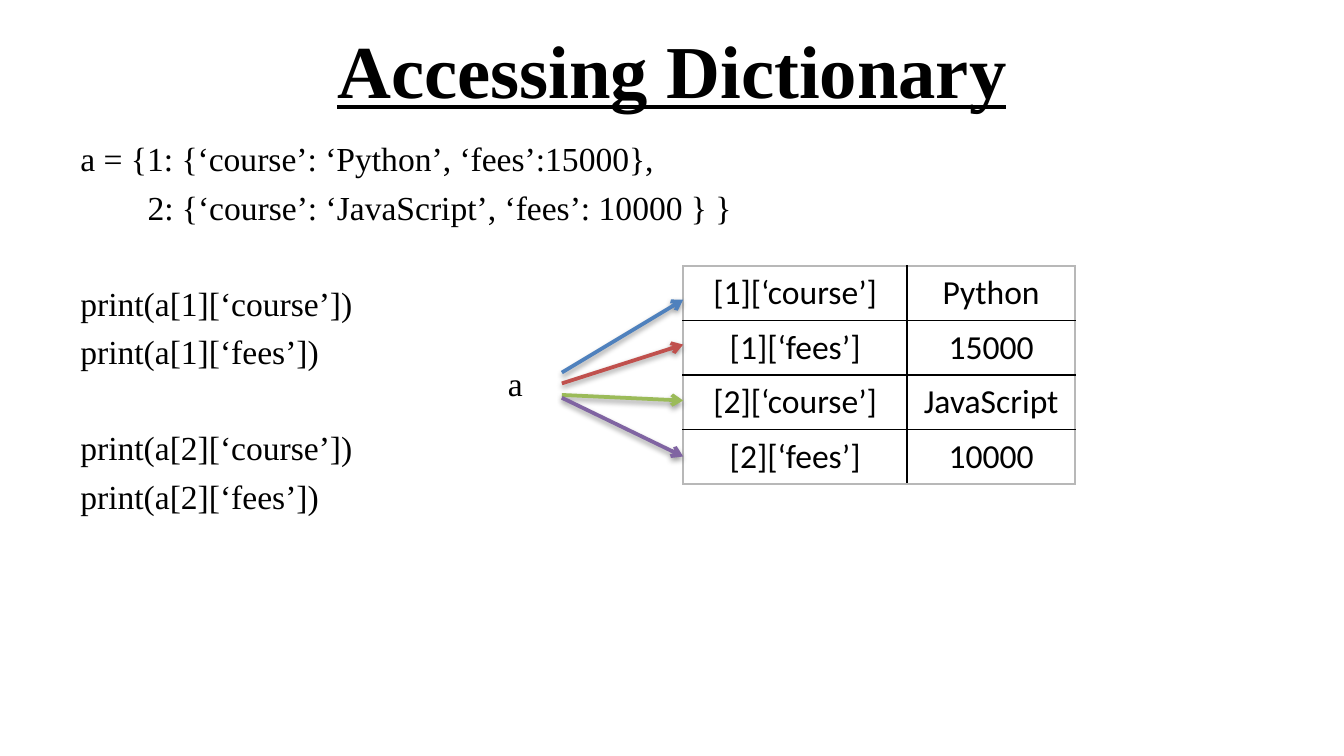
from lxml.etree import SubElement
from pptx import Presentation
from pptx.dml.color import RGBColor
from pptx.enum.shapes import MSO_CONNECTOR
from pptx.enum.text import MSO_ANCHOR, PP_ALIGN
from pptx.oxml.ns import qn
from pptx.util import Pt

HUES = {
    "ink": "000000", "edge": "B8B8B8", "blue": "4F81BD",
    "red": "C0504D", "green": "9BBB59", "violet": "8064A2",
}
SERIF, SANS = "Times New Roman", "Calibri"


def color(name):
    return RGBColor.from_string(HUES[name])


def write(para, text, size=18, face=SERIF, bold=False, line=False,
          align=PP_ALIGN.LEFT, before=0):
    para.alignment = align
    para.space_before = Pt(before)
    run = para.add_run()
    run.text = text
    font = run.font
    font.size, font.name = Pt(size), face
    font.bold, font.underline = bold, line
    font.color.rgb = color("ink")


def add_frame(slide, box, anchor=MSO_ANCHOR.TOP, wrap=True):
    frame = slide.shapes.add_textbox(*map(Pt, box)).text_frame
    frame.word_wrap = wrap
    frame.vertical_anchor = anchor
    return frame


def add_title(slide, box, text):
    frame = add_frame(slide, box, MSO_ANCHOR.MIDDLE)
    write(frame.paragraphs[0], text, size=40, bold=True, line=True,
          align=PP_ALIGN.CENTER)


def add_code(slide, box, groups, gap=4.5, skip=29.7):
    """Write groups of code lines, with a line's height between groups."""
    frame = add_frame(slide, box)
    para = frame.paragraphs[0]
    before = 0
    for group in groups:
        for text in group:
            write(para, text, before=before)
            if text != groups[-1][-1]:
                para = frame.add_paragraph()
            before = gap
        before = skip


def add_border(cell, side, hue):
    line = SubElement(cell._tc.get_or_add_tcPr(), qn("a:ln" + side),
                      w=str(Pt(1)))
    fill = SubElement(line, qn("a:solidFill"))
    SubElement(fill, qn("a:srgbClr"), val=HUES[hue])


def add_grid(slide, box, rows, widths):
    table = slide.shapes.add_table(len(rows), len(widths),
                                   *map(Pt, box)).table
    table.first_row = table.horz_banding = False
    for col, width in zip(table.columns, widths):
        col.width = Pt(width)
    for r, row in enumerate(rows):
        table.rows[r].height = Pt(box[3] / len(rows))
        for c, text in enumerate(row):
            cell = table.cell(r, c)
            outer = {"L": c == 0, "R": c == len(row) - 1,
                     "T": r == 0, "B": r == len(rows) - 1}
            for side, edge in outer.items():
                add_border(cell, side, "edge" if edge else "ink")
            cell.fill.background()
            write(cell.text_frame.paragraphs[0], text, face=SANS,
                  align=PP_ALIGN.CENTER)


def add_arrow(slide, start, end, hue):
    arrow = slide.shapes.add_connector(MSO_CONNECTOR.STRAIGHT,
                                       *map(Pt, start + end))
    arrow.line.color.rgb = color(hue)
    arrow.line.width = Pt(2)
    SubElement(arrow.line._get_or_add_ln(), qn("a:tailEnd"), type="arrow")
    effects = SubElement(arrow._element.spPr, qn("a:effectLst"))
    shadow = SubElement(effects, qn("a:outerShdw"), blurRad=str(Pt(3.1)),
                        dist=str(Pt(1.6)), dir="5400000", rotWithShape="0")
    ink = SubElement(shadow, qn("a:srgbClr"), val=HUES["ink"])
    SubElement(ink, qn("a:alpha"), val="38000")


def add_links(slide, box, name, links):
    """Place the variable name, with arrows fanning out to its right."""
    left, top, width, height = box
    frame = add_frame(slide, (left, top + 30.2, 22.3, 28.8), wrap=False)
    write(frame.paragraphs[0], name)
    for hue, start, end in links:
        add_arrow(slide, (left + 36, top + start),
                  (left + width, top + end), hue)


def main():
    deck = Presentation()
    deck.slide_width, deck.slide_height = Pt(720), Pt(405)
    slide = deck.slides.add_slide(deck.slide_layouts[6])
    add_title(slide, (36, 3, 648, 67.5), "Accessing Dictionary")
    add_code(slide, (36, 70.5, 648, 294), [
        ["a = {1: {‘course’: ‘Python’, ‘fees’:15000},",
         "        2: {‘course’: ‘JavaScript’, ‘fees’: 10000 } }"],
        ["print(a[1][‘course’])", "print(a[1][‘fees’])"],
        ["print(a[2][‘course’])", "print(a[2][‘fees’])"],
    ])
    add_grid(slide, (366, 142.6, 210, 116.8), [
        ["[1][‘course’]", "Python"],
        ["[1][‘fees’]", "15000"],
        ["[2][‘course’]", "JavaScript"],
        ["[2][‘fees’]", "10000"],
    ], [120, 90])
    add_links(slide, (265, 160.6, 101, 84), "a", [
        ("blue", 39, 0), ("red", 44.8, 24),
        ("green", 51, 54), ("violet", 52.5, 84),
    ])
    deck.save("out.pptx")


if __name__ == "__main__":
    main()
